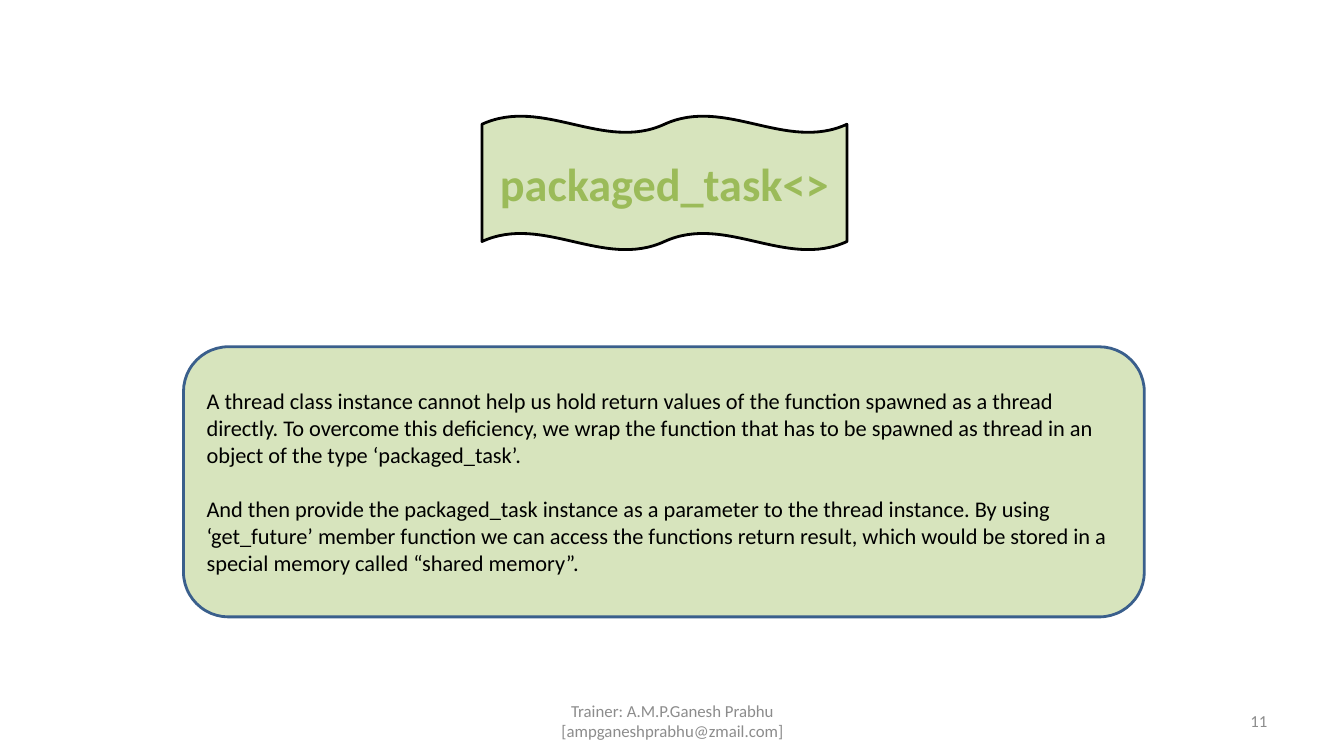
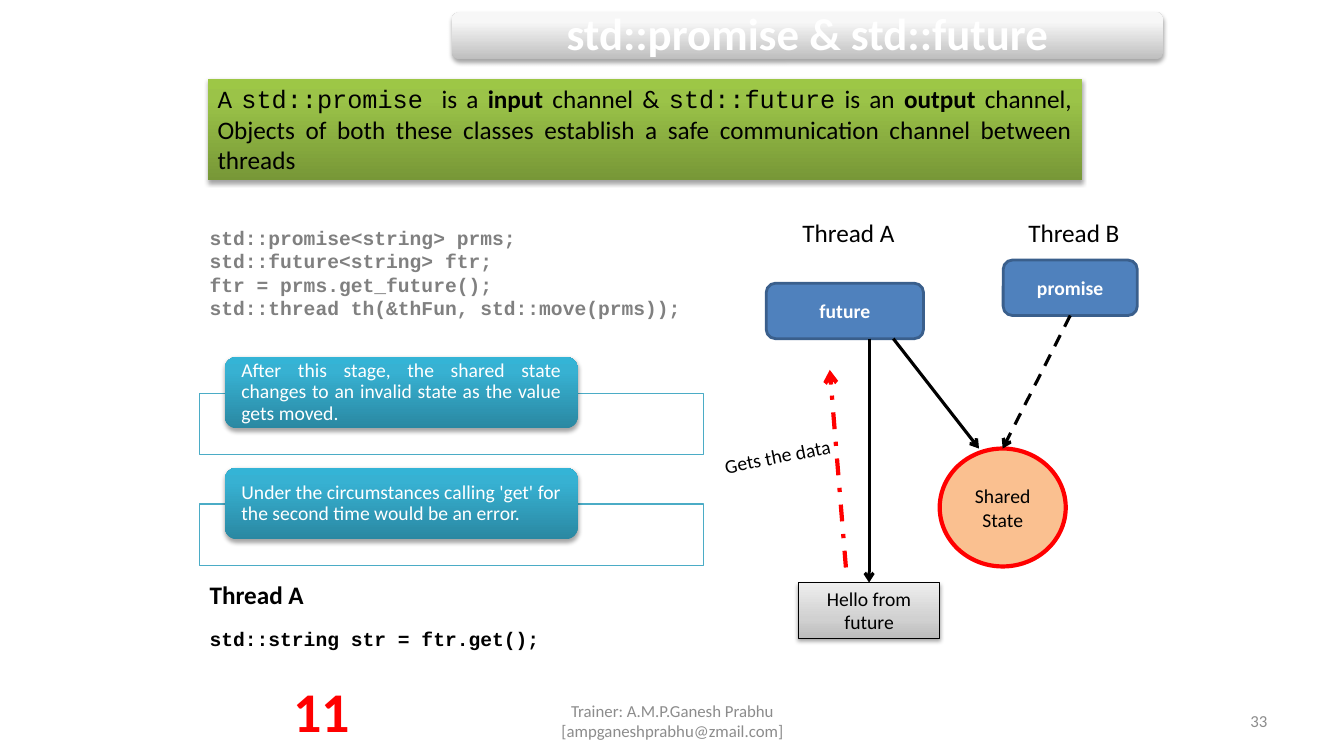
from lxml import etree
from pptx import Presentation
from pptx.dml.color import RGBColor
from pptx.enum.dml import MSO_LINE
from pptx.enum.shapes import MSO_CONNECTOR, MSO_SHAPE
from pptx.enum.text import MSO_ANCHOR, MSO_AUTO_SIZE, PP_ALIGN
from pptx.oxml.ns import qn
from pptx.util import Inches, Pt

RECT, ROUND, OVAL, WAVE = (MSO_SHAPE.RECTANGLE, MSO_SHAPE.ROUNDED_RECTANGLE,
                           MSO_SHAPE.OVAL, MSO_SHAPE.DOUBLE_WAVE)
LEFT, CENTER, RIGHT, JUSTIFY = PP_ALIGN.LEFT, PP_ALIGN.CENTER, PP_ALIGN.RIGHT, PP_ALIGN.JUSTIFY
TOP, MIDDLE = MSO_ANCHOR.TOP, MSO_ANCHOR.MIDDLE
DASH, DASH_DOT = MSO_LINE.DASH, MSO_LINE.DASH_DOT
NO_AUTOFIT = MSO_AUTO_SIZE.NONE
STRAIGHT = MSO_CONNECTOR.STRAIGHT

BLACK = RGBColor(0x00, 0x00, 0x00)
WHITE = RGBColor(0xFF, 0xFF, 0xFF)
RED = RGBColor(0xFF, 0x00, 0x00)
GREEN = RGBColor(0x9B, 0xBB, 0x59)
PALE_GREEN = RGBColor(0xD7, 0xE4, 0xBD)
BLUE = RGBColor(0x4F, 0x81, 0xBD)
DARK_BLUE = RGBColor(0x3A, 0x5F, 0x8C)
TEAL = RGBColor(0x4B, 0xAC, 0xC6)
ORANGE = RGBColor(0xFA, 0xC0, 0x90)
FOOTER_GREY = RGBColor(0x8C, 0x8C, 0x8C)
CODE_GREY = RGBColor(0x80, 0x80, 0x80)

# Gradients run from bottom to top: (position in percent, colour)
SILVER = [(0, RGBColor(0xBE, 0xBE, 0xBE)), (80, RGBColor(0xF7, 0xF7, 0xF7)),
          (100, RGBColor(0xF8, 0xF8, 0xF8))]
LIME = [(0, RGBColor(0x77, 0x97, 0x37)), (80, RGBColor(0x9B, 0xC3, 0x48)),
        (100, RGBColor(0x9D, 0xC7, 0x46))]
STEEL = [(0, RGBColor(0xBD, 0xBD, 0xBD)), (35, RGBColor(0xD1, 0xD1, 0xD1)),
         (100, RGBColor(0xEE, 0xEE, 0xEE))]
AQUA = [(0, RGBColor(0x2A, 0x88, 0xA2)), (80, RGBColor(0x37, 0xB1, 0xD2)),
        (100, RGBColor(0x34, 0xB4, 0xD6))]

SANS, MONO = "Calibri", "Courier New"
FOOTER = "Trainer: A.M.P.Ganesh Prabhu [ampganeshprabhu@zmail.com]"


def add_node(parent, tag, **attributes):
    return etree.SubElement(parent, qn(tag), {k: str(v) for k, v in attributes.items()})


class Deck:
    """Holds the presentation, its text style and the slide being filled."""

    def __init__(self):
        self.prs = Presentation()
        self.prs.slide_width, self.prs.slide_height = Inches(13.33), Inches(7.5)
        self.s = None

    def new_slide(self, number):
        self.s = self.prs.slides.add_slide(self.prs.slide_layouts[5])
        footer = {"size": 12, "color": FOOTER_GREY, "anchor": MIDDLE}
        self.text((4.56, 6.95, 4.22, 0.4), [FOOTER], align=CENTER, **footer)
        self.text((9.56, 6.95, 3.11, 0.4), [number], align=RIGHT, **footer)

    def title(self, text, at, **style):
        """Lay the title placeholder over its banner."""
        sp = self.s.shapes.title
        sp.left, sp.top, sp.width, sp.height = map(Inches, at)
        sp.element.getparent().append(sp.element)
        self.set_text(sp, [text], align=CENTER, anchor=MIDDLE, bold=True, **style)

    def set_text(self, sp, paragraphs, align=LEFT, anchor=TOP, insets=(0.1, 0.05),
                 line_spacing=None, gap=0, color=BLACK, size=18, name=SANS, bold=False):
        """Fill a shape; a paragraph is a string or a list of (text, font changes)."""
        tf = sp.text_frame
        frame = {"word_wrap": True, "auto_size": NO_AUTOFIT, "vertical_anchor": anchor,
                 "margin_left": Inches(insets[0]), "margin_right": Inches(insets[0]),
                 "margin_top": Inches(insets[1]), "margin_bottom": Inches(insets[1])}
        for key, value in frame.items():
            setattr(tf, key, value)
        for i, runs in enumerate(paragraphs):
            p = tf.add_paragraph() if i else tf.paragraphs[0]
            p.alignment = align
            p.line_spacing = line_spacing
            p.space_before = Pt(gap if i else 0)
            for text, changes in [(runs, {})] if isinstance(runs, str) else runs:
                r = p.add_run()
                r.text = text
                font = {"name": name, "size": Pt(size), "bold": bold, **changes}
                for key, value in font.items():
                    setattr(r.font, key, value)
                r.font.color.rgb = color

    def text(self, at, paragraphs, rotation=0, **style):
        sp = self.s.shapes.add_textbox(*map(Inches, at))
        sp.rotation = rotation
        self.set_text(sp, paragraphs, **style)

    def shape(self, kind, at, fill, line=None, width=2, alpha=None, shadow=False,
              paragraphs=(), **style):
        """Draw a shape; a list as fill is a gradient, alpha is in percent."""
        sp = self.s.shapes.add_shape(kind, *map(Inches, at))
        sp.shadow.inherit = False
        if isinstance(fill, list):
            self.gradient(sp, fill)
        else:
            sp.fill.solid()
            sp.fill.fore_color.rgb = fill
            if alpha:
                color = sp.element.spPr.find(".//" + qn("a:srgbClr"))
                add_node(color, "a:alpha", val=alpha * 1000)
        if line is None:
            sp.line.fill.background()
        else:
            sp.line.color.rgb, sp.line.width = line, Pt(width)
        if shadow:
            self.drop_shadow(sp)
        if paragraphs:
            self.set_text(sp, paragraphs, **{"anchor": MIDDLE, **style})
        return sp

    def gradient(self, sp, stops):
        sp.fill.gradient()
        sp.fill.gradient_angle = 90
        stop_list = sp.element.spPr.find(".//" + qn("a:gsLst"))
        for old in list(stop_list):
            stop_list.remove(old)
        for position, color in stops:
            stop = add_node(stop_list, "a:gs", pos=position * 1000)
            add_node(stop, "a:srgbClr", val=color)

    def drop_shadow(self, sp):
        effects = sp.element.spPr.find(qn("a:effectLst"))
        shadow = add_node(effects, "a:outerShdw", blurRad=Pt(3.1), dist=Pt(1.8),
                          dir=90 * 60000, rotWithShape=0)
        add_node(add_node(shadow, "a:srgbClr", val=BLACK), "a:alpha", val=35000)

    def arrow(self, start, end, color=BLACK, width=2.25, dash=None, source=None, target=None):
        """Draw an arrow; source and target are (shape, side) pairs to join."""
        c = self.s.shapes.add_connector(STRAIGHT, *map(Inches, start + end))
        if source:
            c.begin_connect(*source)
        if target:
            c.end_connect(*target)
        c.line.color.rgb, c.line.width = color, Pt(width)
        if dash:
            c.line.dash_style = dash
        add_node(c.element.spPr.find(qn("a:ln")), "a:tailEnd", type="arrow")
        add_node(c.element.spPr, "a:effectLst")


def packaged_task_slide(deck):
    deck.new_slide("11")
    banner = (4.78, 1.15, 3.62, 1.33)
    deck.shape(WAVE, banner, PALE_GREEN, BLACK)
    deck.title("packaged_task<>", banner, size=33, color=GREEN, insets=(0.07, 0.04))
    deck.shape(ROUND, (1.82, 3.44, 9.53, 2.68), PALE_GREEN, DARK_BLUE, size=16, gap=19.5,
               paragraphs=[
        "A thread class instance cannot help us hold return values of the function spawned "
        "as a thread directly. To overcome this deficiency, we wrap the function that has to "
        "be spawned as thread in an object of the type ‘packaged_task’.",
        "And then provide the packaged_task instance as a parameter to the thread instance. "
        "By using ‘get_future’ member function we can access the functions return result, "
        "which would be stored in a special memory called “shared memory”."])


def promise_future_slide(deck):
    deck.new_slide("33")
    deck.shape(ROUND, (4.48, 0.12, 7.06, 0.47), SILVER, shadow=True)
    deck.title("std::promise & std::future", (4.5, 0.15, 7.02, 0.42), size=32, color=WHITE,
               insets=(0.13, 0.13), line_spacing=0.9)

    code, strong = {"name": MONO}, {"bold": True}
    deck.shape(RECT, (2.06, 0.78, 8.67, 1.01), LIME, shadow=True, align=JUSTIFY, anchor=TOP,
               paragraphs=[[
        ("A ", {}), ("std::promise ", code), ("is a ", {}), ("input", strong),
        (" channel & ", {}), ("std::future", code), (" is an ", {}), ("output", strong),
        (" channel, Objects of both these classes establish a safe communication channel "
         "between threads", {})]])

    # Code and remarks on the left
    left = 1.98
    deck.text((left, 2.19, 5.39, 1.04), [
        "std::promise<string> prms;", "std::future<string> ftr;", "ftr = prms.get_future();",
        "std::thread th(&thFun, std::move(prms));"],
        size=14, name=MONO, bold=True, color=CODE_GREY)
    remarks = [
        "After this stage, the shared state changes to an invalid state as the value gets moved.",
        "Under the circumstances calling 'get' for the second time would be an error."]
    for i, remark in enumerate(remarks):
        top = 3.54 + 1.1 * i
        deck.shape(RECT, (left, top + 0.36, 5, 0.61), WHITE, TEAL, width=0.75, alpha=90)
        deck.shape(ROUND, (left + 0.25, top, 3.5, 0.71), AQUA, shadow=True,
                   paragraphs=[remark], size=14, color=WHITE, align=JUSTIFY,
                   insets=(0.13, 0), line_spacing=0.9)
    deck.text((left, 5.7, 1.95, 0.4), ["Thread A"], bold=True)
    deck.text((left, 6.17, 3.49, 0.34), ["std::string str = ftr.get();"],
              size=14, name=MONO, bold=True)
    deck.text((2.8, 6.66, 0.78, 0.77), ["11"], size=40, color=RED, bold=True, align=CENTER)

    # Diagram on the right
    for x, thread in [(7.86, "Thread A"), (10.1, "Thread B")]:
        deck.text((x, 2.11, 1.25, 0.4), [thread])
    label = {"size": 14, "align": CENTER}
    state = deck.shape(OVAL, (9.32, 4.45, 1.25, 1.17), ORANGE, RED, width=3,
                       paragraphs=["Shared State"], **label)
    channel = {"fill": BLUE, "line": DARK_BLUE, "color": WHITE, "bold": True, **label}
    promise = deck.shape(ROUND, (9.95, 2.58, 1.33, 0.55), paragraphs=["promise"], **channel)
    deck.shape(ROUND, (7.6, 2.81, 1.56, 0.55), paragraphs=["future"], **channel)
    result = deck.shape(RECT, (7.92, 5.78, 1.4, 0.55), STEEL, BLACK, width=0.75, shadow=True,
                        paragraphs=["Hello from future"], **label)
    deck.arrow((10.61, 3.13), (9.95, 4.45), dash=DASH, source=(promise, 2), target=(state, 0))
    deck.arrow((8.62, 3.36), (8.62, 5.78), target=(result, 0))
    deck.arrow((8.86, 3.36), (9.71, 4.45))
    deck.arrow((8.39, 5.63), (8.23, 3.67), color=RED, width=3, dash=DASH_DOT)
    deck.text((7.08, 4.35, 1.35, 0.34), ["Gets the data"], rotation=348.6, size=14)


def main():
    deck = Deck()
    packaged_task_slide(deck)
    promise_future_slide(deck)
    deck.prs.save("out.pptx")


if __name__ == "__main__":
    main()
